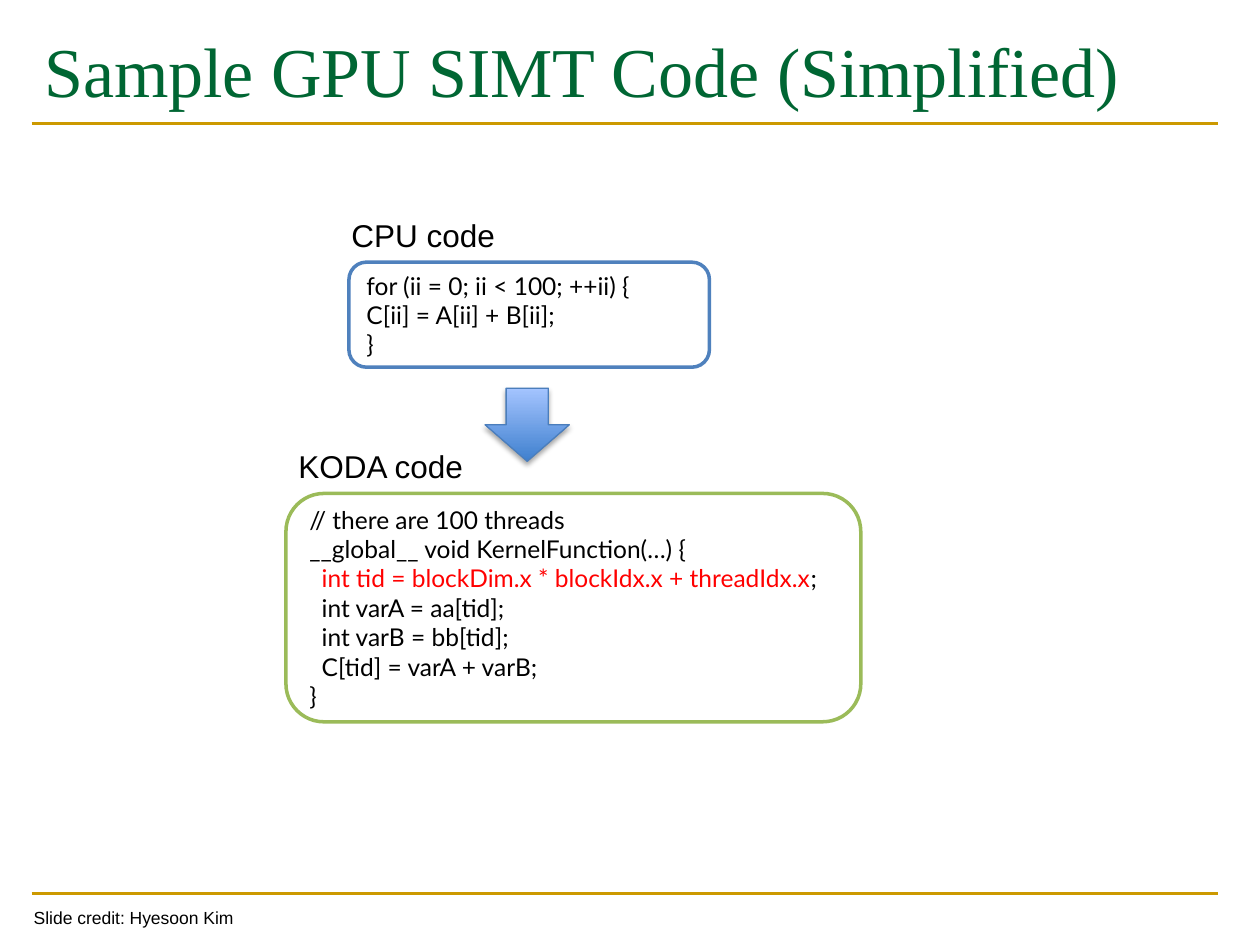
from lxml import etree
from pptx import Presentation
from pptx.dml.color import RGBColor
from pptx.enum.shapes import MSO_CONNECTOR, MSO_SHAPE
from pptx.enum.text import MSO_ANCHOR, MSO_AUTO_SIZE, PP_ALIGN
from pptx.oxml.ns import qn
from pptx.util import Pt

STRAIGHT = MSO_CONNECTOR.STRAIGHT
ROUNDED = MSO_SHAPE.ROUNDED_RECTANGLE
DOWN_ARROW = MSO_SHAPE.DOWN_ARROW
TOP, MIDDLE = MSO_ANCHOR.TOP, MSO_ANCHOR.MIDDLE
LEFT = PP_ALIGN.LEFT
NO_AUTOFIT = MSO_AUTO_SIZE.NONE
TITLE_ONLY = 5
CODE_INDENT = 7


def color(value):
    """Turn a hex string into a colour."""
    return RGBColor.from_string(value)


def lengths(*values):
    """Turn point values into lengths."""
    return [Pt(value) for value in values]


def write(para, text, font="Arial", size=18, ink="000000", indent=0):
    """Add a formatted span to a left-aligned paragraph."""
    para.alignment = LEFT
    if indent:
        para._p.get_or_add_pPr().set("marL", str(Pt(indent)))
    span = para.add_run()
    span.text = text
    span.font.name = font
    span.font.size = Pt(size)
    span.font.color.rgb = color(ink)


class CodeSlide:
    """Hold the style and the current slide."""

    rule_ink = "CC9900"
    title_ink = "006633"
    title_font = "Times New Roman"
    code_font = "Lato"

    def __init__(self, deck):
        """Add the slide to the deck."""
        self.page = deck.slides.add_slide(deck.slide_layouts[TITLE_ONLY])

    def rule(self, left, right, top):
        """Draw a horizontal rule."""
        line = self.page.shapes.add_connector(STRAIGHT, *lengths(left, top, right, top))
        line.line.color.rgb = color(self.rule_ink)
        line.line.width = Pt(1.5)
        etree.SubElement(line._element.spPr, qn("a:effectLst"))

    def title(self, text, left, top, width, height):
        """Place and fill the title placeholder."""
        box = self.page.shapes.title
        box.left, box.top, box.width, box.height = lengths(left, top, width, height)
        frame = box.text_frame
        frame.auto_size = NO_AUTOFIT
        frame.word_wrap = True
        frame.vertical_anchor = TOP
        frame.margin_top = Pt(3.6)
        write(frame.paragraphs[0], text, font=self.title_font, size=40, ink=self.title_ink)

    def label(self, text, left, top, width, height, size=18):
        """Add a one-line label."""
        box = self.page.shapes.add_textbox(*lengths(left, top, width, height))
        box.text_frame.word_wrap = False
        write(box.text_frame.paragraphs[0], text, size=size)

    def code(self, lines, left, top, width, height, border):
        """Add a rounded box of code, each line an indent level and its spans."""
        box = self.page.shapes.add_shape(ROUNDED, *lengths(left, top, width, height))
        box.shadow.inherit = False
        box.fill.solid()
        box.fill.fore_color.rgb = color("FFFFFF")
        box.line.color.rgb = color(border)
        box.line.width = Pt(2)
        frame = box.text_frame
        frame.word_wrap = True
        frame.vertical_anchor = MIDDLE
        for number, (level, spans) in enumerate(lines):
            para = frame.add_paragraph() if number else frame.paragraphs[0]
            for text, ink in spans:
                write(para, text, font=self.code_font, size=14, ink=ink,
                      indent=level * CODE_INDENT)

    def arrow(self, left, top, width, height):
        """Add a shaded down arrow with a soft shadow."""
        arrow = self.page.shapes.add_shape(DOWN_ARROW, *lengths(left, top, width, height))
        arrow.fill.gradient()
        arrow.fill.gradient_angle = 90
        for stop, ink in zip(arrow.fill.gradient_stops, ("3F80CE", "A4C4FF")):
            stop.color.rgb = color(ink)
        arrow.line.color.rgb = color("4B7EBC")
        arrow.line.width = Pt(0.75)
        arrow.shadow.inherit = False
        effects = arrow._element.spPr.find(qn("a:effectLst"))
        shadow = etree.SubElement(effects, qn("a:outerShdw"), blurRad=str(Pt(3.1)),
                                  dist=str(Pt(1.8)), dir="5400000", rotWithShape="0")
        ink = etree.SubElement(shadow, qn("a:srgbClr"), val="000000")
        etree.SubElement(ink, qn("a:alpha"), val="35000")


def plain(text, level=0):
    """Describe a black line of code."""
    return level, [(text, "000000")]


CPU_LINES = [
    plain("for (ii = 0; ii < 100; ++ii) {"),
    plain("C[ii] = A[ii] + B[ii];"),
    plain("}"),
]
KERNEL_LINES = [
    plain("// there are 100 threads"),
    plain("__global__ void KernelFunction(…) {"),
    (1, [("int tid = blockDim.x * blockIdx.x + threadIdx.x", "FF0000"), (";", "000000")]),
    plain("int varA = aa[tid];", 1),
    plain("int varB = bb[tid];", 1),
    plain("C[tid] = varA + varB;", 1),
    plain("}"),
]

deck = Presentation()
deck.slide_width, deck.slide_height = lengths(720, 540)
slide = CodeSlide(deck)
for rule_top in (510.5, 70.6):
    slide.rule(18, 696, rule_top)
slide.title("Sample GPU SIMT Code (Simplified)", 18, 12.2, 678, 84.2)
slide.code(CPU_LINES, 199.4, 149.8, 206, 60, "4F81BD")
slide.code(KERNEL_LINES, 163.4, 282, 328.5, 130.5, "9BBB59")
slide.arrow(277.2, 221.8, 48.2, 41.8)
slide.label("CPU code", 193.7, 120, 97.2, 29)
slide.label("KODA code", 163.4, 252, 109.4, 29)
slide.label("Slide credit: Hyesoon Kim", 12.2, 514.8, 130.3, 19.4, size=10)
deck.save("out.pptx")
